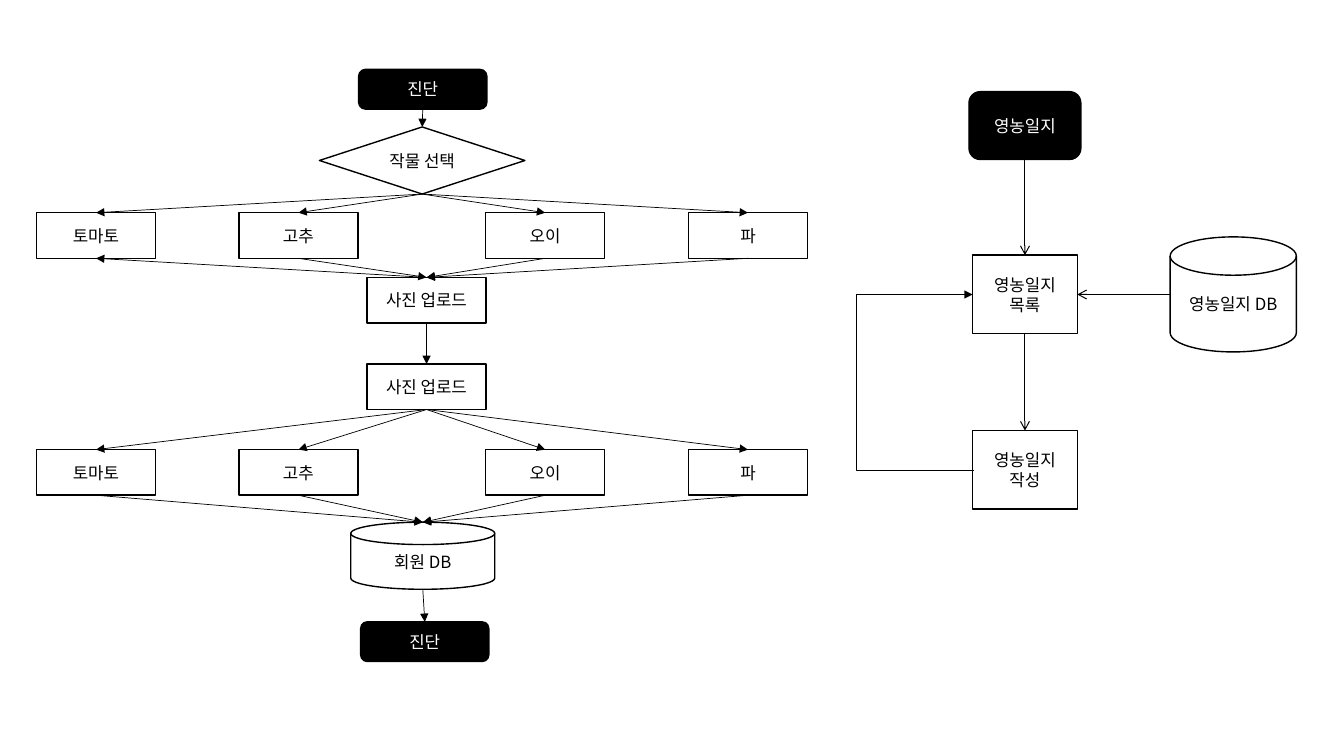
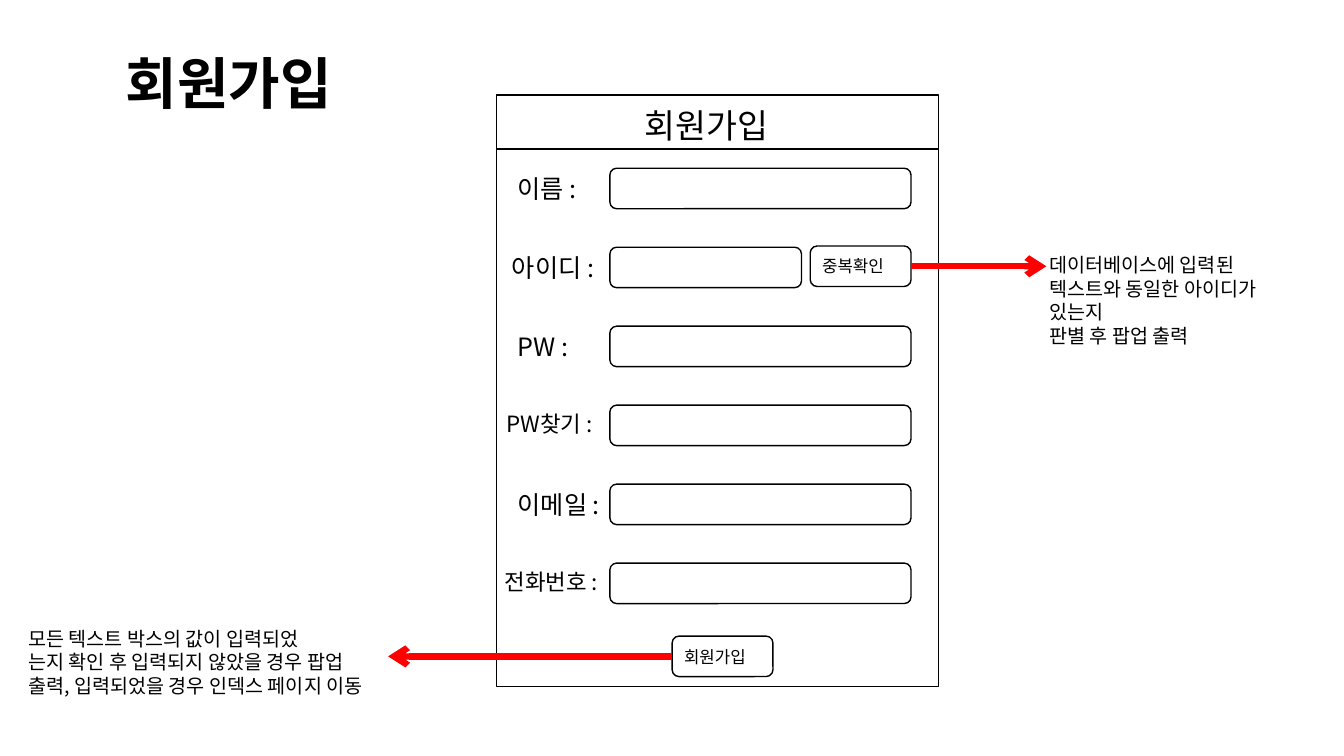
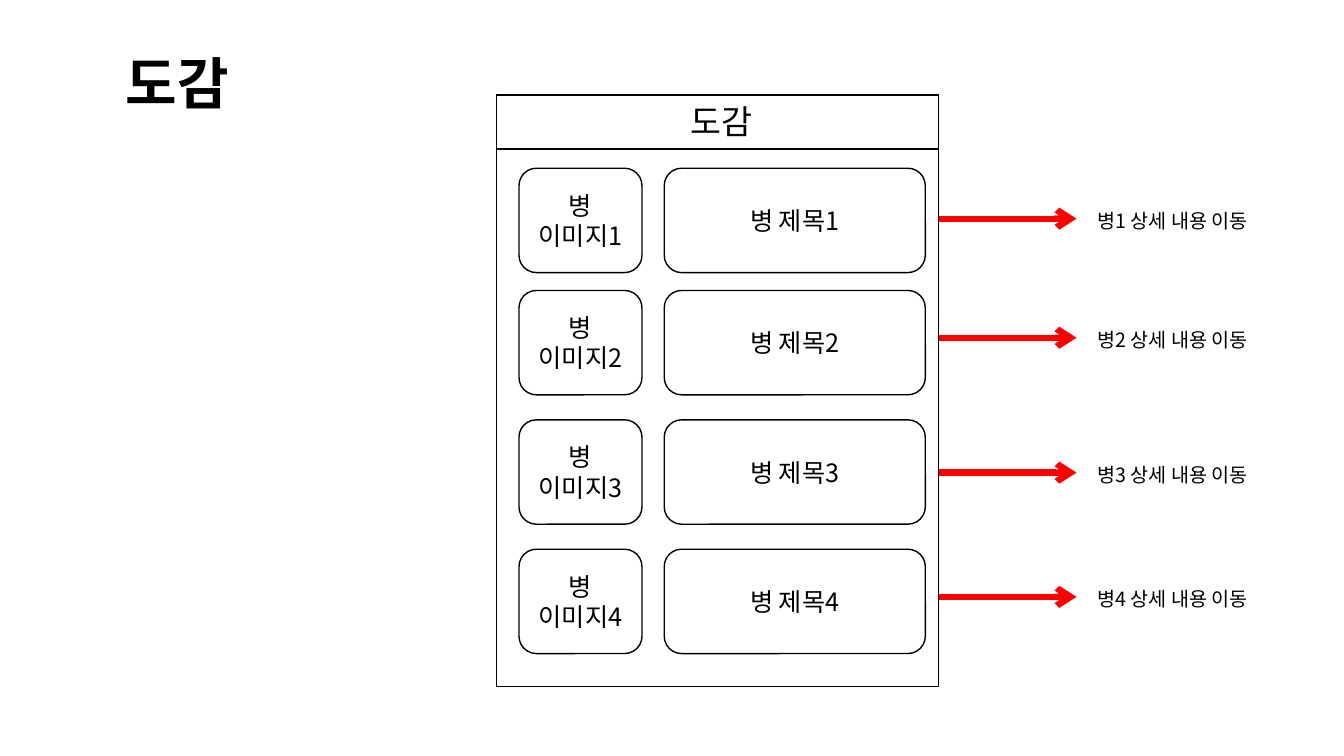
import dataclasses
import typing

import lxml.etree
import pptx
import pptx.dml.color
import pptx.enum.shapes
import pptx.enum.text
import pptx.oxml.ns
import pptx.util

Cm = pptx.util.Cm
Pt = pptx.util.Pt
qn = pptx.oxml.ns.qn
Kind = pptx.enum.shapes.MSO_SHAPE
Align = pptx.enum.text.PP_ALIGN
Anchor = pptx.enum.text.MSO_ANCHOR

FONT = "Noto Sans CJK KR"
BLACK, WHITE, RED = "000000", "FFFFFF", "FF0000"
TOP, LEFT, BOTTOM, RIGHT = range(4)
CROPS = ("토마토", "고추", "오이", "파")
CROP_LEFTS = (0.92, 6.02, 12.24, 17.35)


@dataclasses.dataclass(frozen=True)
class Box:
    """A place in centimetres."""
    left: float
    top: float
    width: float
    height: float

    def emu(self) -> list[int]:
        return [Cm(length) for length in dataclasses.astuple(self)]


@dataclasses.dataclass(frozen=True)
class Stroke:
    width: float
    head: str
    color: str = BLACK


@dataclasses.dataclass(frozen=True)
class FormRow:
    label: str
    label_left: float
    size: int = 18
    field_width: float = 7.59


@dataclasses.dataclass(frozen=True)
class DiseaseRow:
    top: float
    arrow_y: float


FLOW = Stroke(0.5, "triangle")
DIARY_FLOW = Stroke(0.75, "arrow")
CALLOUT = Stroke(4.5, "arrow", RED)

PANEL = Box(12.52, 2.49, 11.13, 14.81)
PANEL_HEADER = Box(12.52, 2.39, 11.13, 1.37)
FORM_TOP, FORM_STEP = 4.24, 1.99
FORM_ROWS = (
    FormRow("이름 :", 12.8),
    FormRow("아이디 :", 12.65, field_width=4.83),
    FormRow("PW :", 12.8),
    FormRow("PW찾기 :", 12.52, 16),
    FormRow("이메일 :", 12.8),
    FormRow("전화번호 :", 12.47, 16),
)
DISEASE_ROWS = (
    DiseaseRow(4.24, 5.51),
    DiseaseRow(7.32, 8.51),
    DiseaseRow(10.58, 11.91),
    DiseaseRow(13.84, 15.04),
)


def rgb(color: str) -> pptx.dml.color.RGBColor:
    return pptx.dml.color.RGBColor.from_string(color)


def write(frame: typing.Any, text: str, size: int, color: str = BLACK,
          align: typing.Any = Align.LEFT, bold: bool = False) -> None:
    """Fill a text frame, one paragraph per line of text."""
    frame.word_wrap = True
    frame.text = text
    font_format = {"name": FONT, "size": Pt(size), "bold": bold}
    for paragraph in frame.paragraphs:
        paragraph.alignment = align
        for run in paragraph.runs:
            for attribute, value in font_format.items():
                setattr(run.font, attribute, value)
            run.font.color.rgb = rgb(color)
            east_asian = lxml.etree.SubElement(run.font._element, qn("a:ea"))
            east_asian.set("typeface", FONT)


def add_node(slide: typing.Any, kind: typing.Any, box: Box, text: str = "",
             size: int = 12, fill: str = WHITE, color: str = BLACK,
             align: typing.Any = Align.CENTER) -> typing.Any:
    node = slide.shapes.add_shape(kind, *box.emu())
    node.shadow.inherit = False
    node.fill.solid()
    node.fill.fore_color.rgb = rgb(fill)
    node.line.color.rgb = rgb(BLACK)
    node.line.width = Pt(1)
    if text:
        node.text_frame.vertical_anchor = Anchor.MIDDLE
        write(node.text_frame, text, size, color, align)
    return node


def add_terminal(slide: typing.Any, box: Box, text: str) -> typing.Any:
    return add_node(slide, Kind.ROUNDED_RECTANGLE, box, text, fill=BLACK, color=WHITE)


def add_label(slide: typing.Any, box: Box, text: str, size: int, bold: bool = False) -> None:
    label = slide.shapes.add_textbox(*box.emu())
    write(label.text_frame, text, size, bold=bold)


def add_arrow(slide: typing.Any, start: tuple[int, int], end: tuple[int, int],
              stroke: Stroke, elbow: bool = False) -> typing.Any:
    route = pptx.enum.shapes.MSO_CONNECTOR
    arrow = slide.shapes.add_connector(route.ELBOW if elbow else route.STRAIGHT, *start, *end)
    arrow.line.color.rgb = rgb(stroke.color)
    arrow.line.width = Pt(stroke.width)
    properties = arrow._element.spPr
    tail = lxml.etree.SubElement(properties.find(qn("a:ln")), qn("a:tailEnd"))
    tail.set("type", stroke.head)
    lxml.etree.SubElement(properties, qn("a:effectLst"))
    return arrow


def side_point(node: typing.Any, side: int) -> tuple[int, int]:
    across = {LEFT: 0, RIGHT: node.width}.get(side, node.width // 2)
    down = {TOP: 0, BOTTOM: node.height}.get(side, node.height // 2)
    return node.left + across, node.top + down


def link(slide: typing.Any, source: typing.Any, source_side: int, target: typing.Any,
         target_side: int, stroke: Stroke = FLOW, elbow: bool = False) -> typing.Any:
    """Join two nodes; a disk numbers its sites differently, so it is only touched."""
    arrow = add_arrow(slide, side_point(source, source_side),
                      side_point(target, target_side), stroke, elbow)
    disk = Kind.FLOWCHART_MAGNETIC_DISK
    if source.auto_shape_type != disk:
        arrow.begin_connect(source, source_side)
    if target.auto_shape_type != disk:
        arrow.end_connect(target, target_side)
    return arrow


def bend_left(arrow: typing.Any, reach: float) -> None:
    """Send an elbow between two left sides out by reach centimetres."""
    sliver = 0.03
    arrow.width = Cm(sliver)
    frame = arrow._element.spPr.find(qn("a:xfrm"))
    for flip in ("flipH", "flipV"):
        frame.attrib.pop(flip, None)
    frame.set("rot", "10800000")
    geometry = arrow._element.spPr.find(qn("a:prstGeom"))
    guides = geometry.find(qn("a:avLst"))
    if guides is None:
        guides = lxml.etree.SubElement(geometry, qn("a:avLst"))
    guide = lxml.etree.SubElement(guides, qn("a:gd"))
    guide.set("name", "adj1")
    guide.set("fmla", f"val {round((reach + sliver) / sliver * 100000)}")


def add_crops(slide: typing.Any, top: float) -> list[typing.Any]:
    return [add_node(slide, Kind.RECTANGLE, Box(left, top, 3, 1.15), crop)
            for left, crop in zip(CROP_LEFTS, CROPS)]


def draw_diagnosis_flow(slide: typing.Any) -> None:
    start = add_terminal(slide, Box(9.04, 1.75, 3.23, 1), "진단")
    choice = add_node(slide, Kind.DIAMOND, Box(8.05, 3.2, 5.18, 1.69), "작물 선택")
    chosen_crops = add_crops(slide, 5.36)
    first_upload, second_upload = [
        add_node(slide, Kind.RECTANGLE, Box(9.25, top, 3, 1.15), "사진 업로드")
        for top in (6.99, 9.17)]
    uploaded_crops = add_crops(slide, 11.33)
    members = add_node(slide, Kind.FLOWCHART_MAGNETIC_DISK,
                       Box(8.84, 13.16, 3.63, 1.69), "회원 DB")
    result = add_terminal(slide, Box(9.09, 15.67, 3.23, 1), "진단")

    for upper, lower in ((start, choice), (first_upload, second_upload), (members, result)):
        link(slide, upper, BOTTOM, lower, TOP)
    for crop in chosen_crops:
        link(slide, choice, BOTTOM, crop, TOP)
    link(slide, first_upload, TOP, chosen_crops[0], BOTTOM)
    for crop in chosen_crops[1:]:
        link(slide, crop, BOTTOM, first_upload, TOP)
    for crop in uploaded_crops:
        link(slide, second_upload, BOTTOM, crop, TOP)
        link(slide, crop, BOTTOM, members, TOP)


def draw_diary_flow(slide: typing.Any) -> None:
    store = add_node(slide, Kind.FLOWCHART_MAGNETIC_DISK,
                     Box(29.49, 5.97, 3.18, 2.9), "영농일지 DB")
    start = add_terminal(slide, Box(24.42, 2.31, 2.82, 1.71), "영농일지")
    listing, writing = [
        add_node(slide, Kind.RECTANGLE, Box(24.51, top, 2.64, 1.98), text)
        for top, text in ((6.43, "영농일지 목록"), (10.85, "영농일지 작성"))]
    link(slide, start, BOTTOM, listing, TOP, DIARY_FLOW)
    link(slide, listing, BOTTOM, writing, TOP, DIARY_FLOW)
    link(slide, store, LEFT, listing, RIGHT, DIARY_FLOW)
    bend_left(link(slide, writing, LEFT, listing, LEFT, elbow=True), 2.92)


def draw_screen(slide: typing.Any, title: str, header: Box) -> None:
    """Draw the slide title and the empty app screen with its header."""
    for box in (PANEL, PANEL_HEADER):
        add_node(slide, Kind.RECTANGLE, box)
    add_label(slide, header, title, 24)
    add_label(slide, Box(2.92, 1.09, 9.6, 1.96), title, 40, bold=True)


def add_button(slide: typing.Any, left: float, top: float, text: str) -> typing.Any:
    return add_node(slide, Kind.ROUNDED_RECTANGLE, Box(left, top, 2.54, 1.02),
                    text, align=Align.LEFT)


def draw_sign_up(slide: typing.Any) -> None:
    draw_screen(slide, "회원가입", Box(16, 2.51, 4.19, 1.27))
    for index, row in enumerate(FORM_ROWS):
        top = FORM_TOP + index * FORM_STEP
        add_node(slide, Kind.ROUNDED_RECTANGLE, Box(15.37, top, row.field_width, 1.02))
        add_label(slide, Box(row.label_left, top, 3.2, 1.02), row.label, row.size)

    check = add_button(slide, 20.42, 6.2, "중복확인")
    sign_up = add_button(slide, 16.94, 16.03, "회원가입")
    for button, side, tip in ((check, RIGHT, 26.37), (sign_up, LEFT, 9.78)):
        start = side_point(button, side)
        add_arrow(slide, start, (Cm(tip), start[1]), CALLOUT).begin_connect(button, side)
    add_label(slide, Box(26.19, 6.25, 7.06, 2.06),
              "데이터베이스에 입력된 텍스트와 동일한 아이디가 있는지\n판별 후 팝업 출력", 14)
    add_label(slide, Box(0.46, 15.67, 9.32, 2.64),
              "모든 텍스트 박스의 값이 입력되었\n"
              "는지 확인 후 입력되지 않았을 경우 팝업 출력, 입력되었을 경우 인덱스 페이지 이동", 14)


def draw_guide(slide: typing.Any) -> None:
    draw_screen(slide, "도감", Box(17.15, 2.41, 2.74, 1.27))
    for number, row in enumerate(DISEASE_ROWS, start=1):
        add_node(slide, Kind.ROUNDED_RECTANGLE, Box(13.08, row.top, 3.1, 2.63),
                 f"병\n이미지{number}", 18)
        add_node(slide, Kind.ROUNDED_RECTANGLE, Box(16.74, row.top, 6.58, 2.63),
                 f"병 제목{number}", 18)
        add_arrow(slide, (Cm(23.67), Cm(row.arrow_y)), (Cm(27.13), Cm(row.arrow_y)), CALLOUT)
        add_label(slide, Box(27.4, row.arrow_y - 0.38, 5.6, 0.86),
                  f"병{number} 상세 내용 이동", 14)


def main() -> None:
    deck = pptx.Presentation()
    deck.slide_width, deck.slide_height = Cm(33.87), Cm(19.05)
    blank = deck.slide_layouts[6]
    for drawings in ((draw_diagnosis_flow, draw_diary_flow), (draw_sign_up,), (draw_guide,)):
        slide = deck.slides.add_slide(blank)
        for draw in drawings:
            draw(slide)
    deck.save("out.pptx")


if __name__ == "__main__":
    main()
